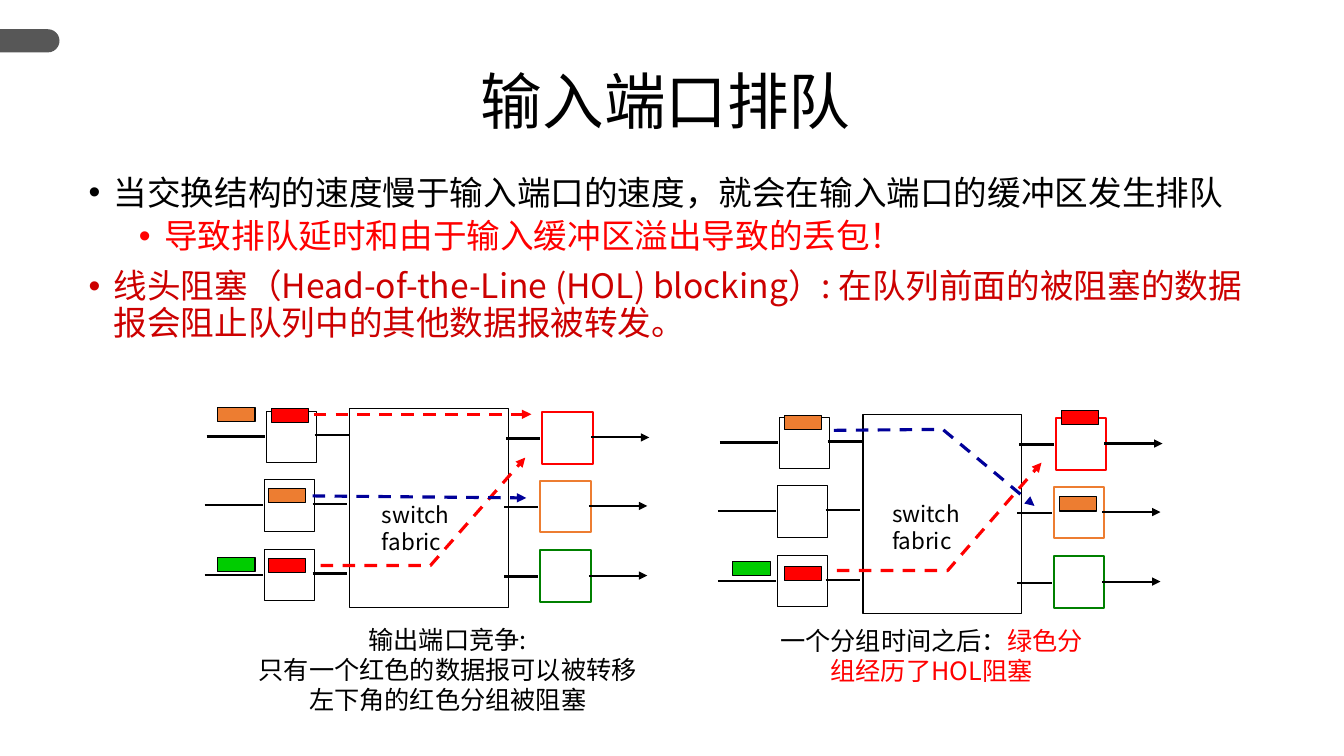
"""Build the slide on input port queuing and head-of-the-line blocking."""
from dataclasses import dataclass

from lxml.etree import SubElement
from pptx import Presentation
from pptx.dml.color import RGBColor
from pptx.enum.dml import MSO_LINE
from pptx.enum.shapes import MSO_CONNECTOR, MSO_SHAPE as Preset
from pptx.enum.text import MSO_ANCHOR as Anchor, MSO_AUTO_SIZE as AutoSize, PP_ALIGN as Align
from pptx.oxml.ns import qn
from pptx.shapes.autoshape import Shape
from pptx.slide import Slide
from pptx.text.text import _Paragraph as Paragraph
from pptx.util import Emu, Pt

PX = 9144
FONT = "Noto Sans CJK SC"
BLACK = RGBColor(0x00, 0x00, 0x00)
WHITE = RGBColor(0xFF, 0xFF, 0xFF)
GRAY = RGBColor(0x57, 0x57, 0x57)
RED = RGBColor(0xFF, 0x00, 0x00)
DARK_RED = RGBColor(0xCC, 0x00, 0x00)
ORANGE = RGBColor(0xED, 0x7D, 0x31)
GREEN = RGBColor(0x00, 0x80, 0x00)
LIME = RGBColor(0x00, 0xCC, 0x00)
NAVY = RGBColor(0x00, 0x00, 0x99)

Point = tuple[int, int]


@dataclass(frozen=True)
class Bullet:
    text: str
    color: RGBColor
    level: int = 0
    space_before: int = 0


@dataclass(frozen=True)
class Packet:
    left: int
    top: int
    color: RGBColor


@dataclass(frozen=True)
class Route:
    points: tuple[Point, ...]
    color: RGBColor


@dataclass(frozen=True)
class Switch:
    origin: Point
    label: Point
    packets: tuple[Packet, ...]
    routes: tuple[Route, ...]


BULLETS = (
    Bullet("当交换结构的速度慢于输入端口的速度，就会在输入端口的缓冲区发生排队", BLACK),
    Bullet("导致排队延时和由于输入缓冲区溢出导致的丢包！", RED, 1, 5),
    Bullet("线头阻塞（Head-of-the-Line (HOL) blocking）: 在队列前面的被阻塞的数据报会阻止队列中的其他数据报被转发。",
           DARK_RED, 0, 10),
)
ROWS = (((0, 0), RED), ((-2, 68), ORANGE), ((-2, 137), GREEN))
WIRES = ((2, 28, 58, False), (109, 27, 34, False), (299, 30, 34, False), (383, 29, 58, True))
SWITCHES = (
    Switch((203, 405), (369, 492),
           (Packet(269, 405, RED), Packet(266, 485, ORANGE), Packet(266, 554, RED),
            Packet(216, 404, ORANGE), Packet(216, 553, LIME)),
           (Route(((311, 411), (527, 411)), RED),
            Route(((318, 561), (427, 561), (521, 454)), RED),
            Route(((310, 492), (522, 494)), NAVY))),
    Switch((712, 411), (875, 491),
           (Packet(1053, 407, RED), Packet(778, 412, ORANGE), Packet(778, 562, RED),
            Packet(727, 557, LIME), Packet(1051, 493, ORANGE)),
           (Route(((830, 566), (940, 566), (1033, 459)), RED),
            Route(((827, 427), (935, 426), (1026, 502)), NAVY))),
)
CAPTIONS = (
    (197, 614, 494, 101, ((("输出端口竞争:", BLACK),),
                          (("只有一个红色的数据报可以被转移", BLACK),),
                          (("左下角的红色分组被阻塞", BLACK),))),
    (761, 615, 326, 71, ((("一个分组时间之后：", BLACK), ("绿色分组经历了HOL阻塞", RED)),)),
)


def px(*lengths: int) -> list[Emu]:
    """Turn pixels into EMU."""
    return [Emu(length * PX) for length in lengths]


def set_font(para: Paragraph, size: int, color: RGBColor) -> None:
    """Set the font of a whole paragraph."""
    para.font.name = FONT
    para.font.size = Pt(size)
    para.font.color.rgb = color
    for span in para.runs:
        SubElement(span.font._element, qn("a:ea"), typeface=FONT)


def add_box(page: Slide, left: int, top: int, width: int, height: int, fill: RGBColor,
            line: RGBColor = BLACK, weight: float = 0.75, preset: Preset = Preset.RECTANGLE) -> Shape:
    """Add a filled, outlined shape."""
    box = page.shapes.add_shape(preset, *px(left, top, width, height))
    box.shadow.inherit = False
    box.fill.solid()
    box.fill.fore_color.rgb = fill
    box.line.color.rgb = line
    box.line.width = Pt(weight)
    return box


def add_text_box(page: Slide, left: int, top: int, width: int, height: int, wrap: bool = True) -> Shape:
    """Add an empty text box."""
    box = page.shapes.add_textbox(*px(left, top, width, height))
    box.text_frame.word_wrap = wrap
    return box


def add_paragraph(box: Shape, index: int) -> Paragraph:
    """Return the first paragraph of a box or a new one."""
    return box.text_frame.add_paragraph() if index else box.text_frame.paragraphs[0]


def add_line(page: Slide, points: tuple[Point, ...], color: RGBColor = BLACK, weight: float = 1.5,
             dashed: bool = False, arrow: bool = False) -> None:
    """Add a straight connector or an open polyline."""
    first, *rest = [tuple(px(*point)) for point in points]
    if len(rest) == 1:
        line = page.shapes.add_connector(MSO_CONNECTOR.STRAIGHT, *first, *rest[0])
    else:
        builder = page.shapes.build_freeform(*first, scale=1.0)
        builder.add_line_segments(rest, close=False)
        line = builder.convert_to_shape()
        line.fill.background()
    line.line.color.rgb = color
    line.line.width = Pt(weight)
    if dashed:
        line.line.dash_style = MSO_LINE.DASH
    properties = line._element.spPr
    if arrow:
        SubElement(properties.find(qn("a:ln")), qn("a:tailEnd"), type="triangle")
    SubElement(properties, qn("a:effectLst"))


def add_title(page: Slide) -> None:
    """Place and format the title."""
    title = page.shapes.title
    title.left, title.top, title.width, title.height = px(0, 79, 1321, 50)
    title.text_frame.text = "输入端口排队"
    title.text_frame.auto_size = AutoSize.NONE
    title.text_frame.vertical_anchor = Anchor.MIDDLE
    para = title.text_frame.paragraphs[0]
    para.alignment = Align.CENTER
    para.line_spacing = 0.9
    set_font(para, 44, BLACK)


def add_bullets(page: Slide) -> None:
    """Add the bulleted text."""
    box = add_text_box(page, 78, 170, 1171, 290)
    for index, bullet in enumerate(BULLETS):
        para = add_paragraph(box, index)
        para.add_run().text = bullet.text
        para.level = bullet.level
        para.line_spacing = 0.9
        para.space_before = Pt(bullet.space_before)
        properties = para._p.get_or_add_pPr()
        properties.set("marL", str(px(25 + 50 * bullet.level)[0]))
        properties.set("indent", str(px(-25)[0]))
        SubElement(properties, qn("a:buFont"), typeface="Arial")
        SubElement(properties, qn("a:buChar"), char="•")
        set_font(para, 24, bullet.color)


def add_switch(page: Slide, switch: Switch) -> None:
    """Draw a switch with its ports, packets and routes."""
    x, y = switch.origin
    add_box(page, x + 144, y, 157, 198, WHITE)
    for (dx, dy), color in ROWS:
        add_box(page, x + 61 + dx, y + 3 + dy, 50, 51, WHITE)
        add_box(page, x + 335 + dx, y + 4 + dy, 50, 51, WHITE, color, 1.5)
        for left, top, length, arrow in WIRES:
            start, level = x + left + dx, y + top + dy
            add_line(page, ((start, level), (start + length, level)), arrow=arrow)
    for packet in switch.packets:
        add_box(page, packet.left, packet.top, 37, 14, packet.color)
    label = add_text_box(page, *switch.label, 87, 64, wrap=False)
    for index, word in enumerate(("switch", "fabric")):
        para = add_paragraph(label, index)
        para.add_run().text = word
        set_font(para, 16, BLACK)
    for route in switch.routes:
        add_line(page, route.points, route.color, 2.25, dashed=True, arrow=True)


def add_captions(page: Slide) -> None:
    """Add the captions under the switches."""
    for *place, lines in CAPTIONS:
        box = add_text_box(page, *place)
        for index, parts in enumerate(lines):
            para = add_paragraph(box, index)
            para.alignment = Align.CENTER
            for text, color in parts:
                span = para.add_run()
                span.text = text
                span.font.color.rgb = color
            set_font(para, 18, BLACK)


def main() -> None:
    """Build and save the deck."""
    deck = Presentation()
    deck.slide_width, deck.slide_height = px(1333, 750)
    page = deck.slides.add_slide(deck.slide_layouts[5])
    tab = add_box(page, 18, 11, 23, 59, GRAY, preset=Preset.ROUND_2_SAME_RECTANGLE)
    tab.adjustments[0] = 0.5
    tab.rotation = 90
    tab.line.fill.background()
    add_title(page)
    add_bullets(page)
    for switch in SWITCHES:
        add_switch(page, switch)
    add_captions(page)
    deck.save("out.pptx")


if __name__ == "__main__":
    main()
